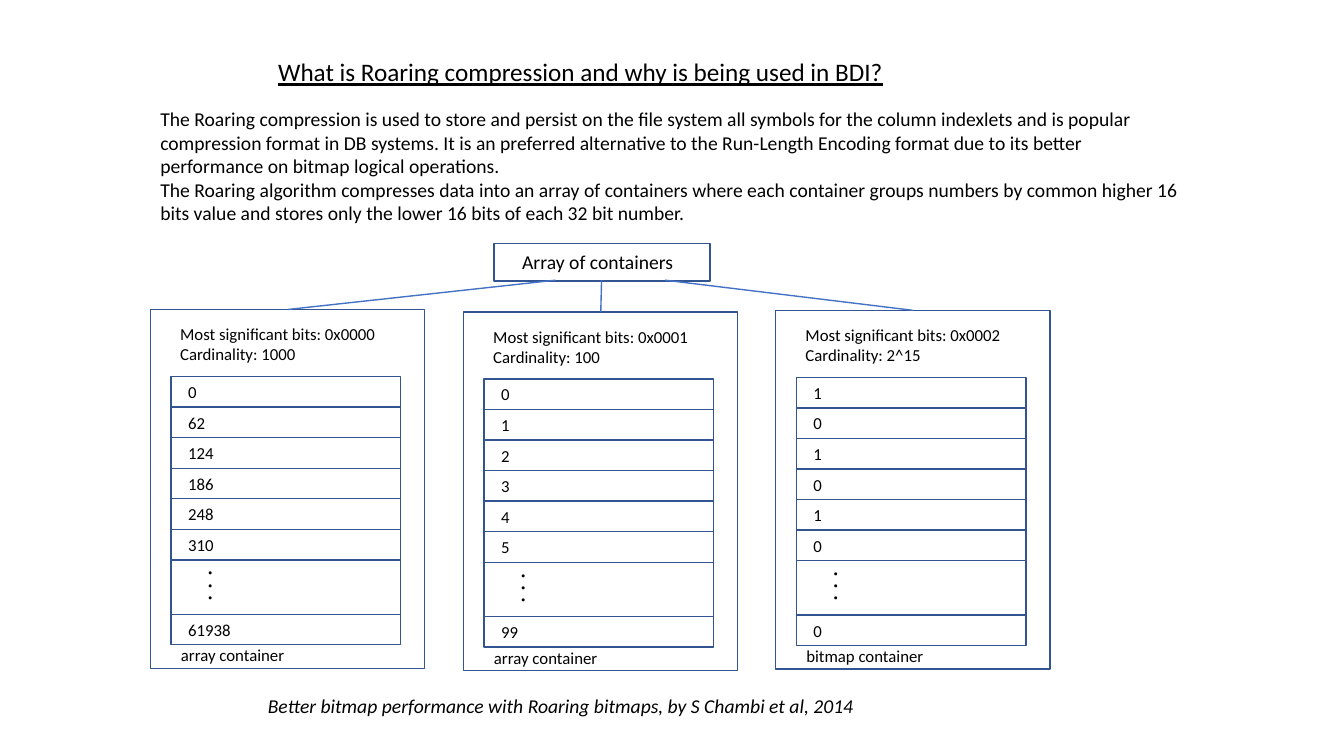
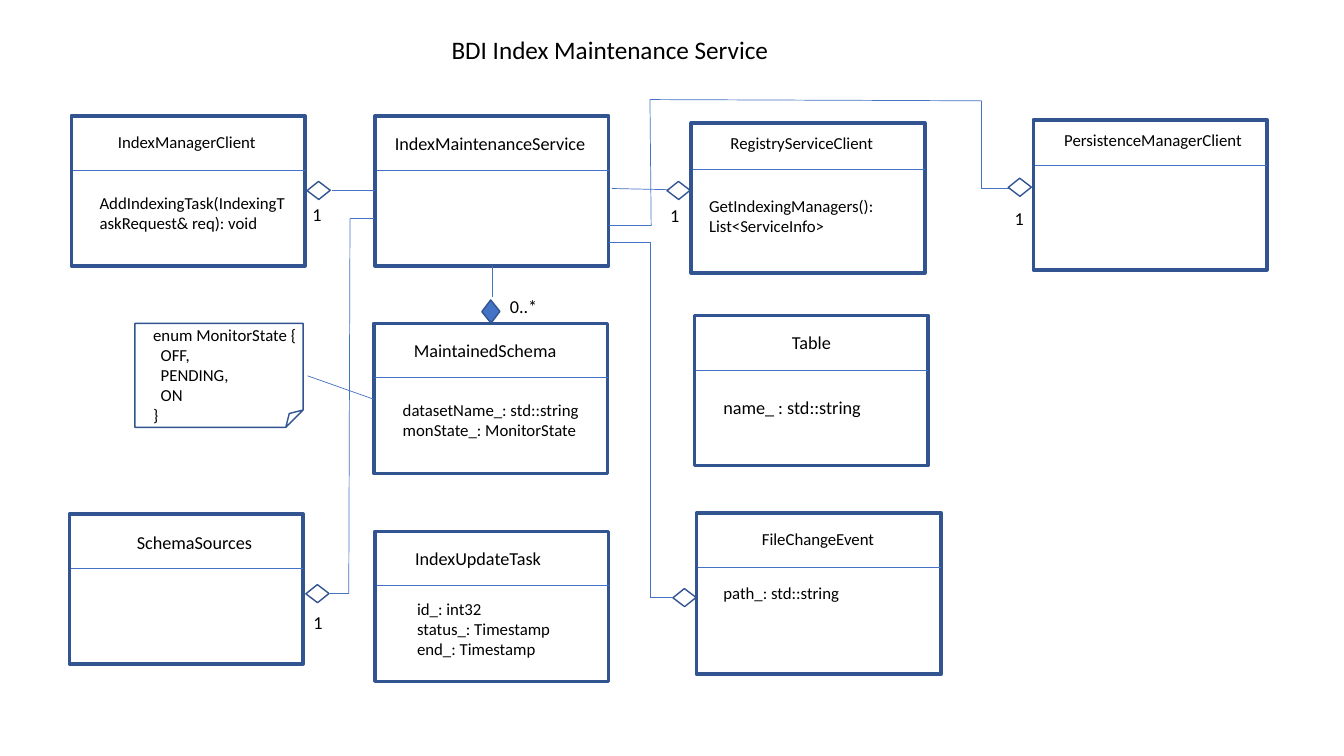
from dataclasses import dataclass
from itertools import pairwise

from lxml.etree import SubElement
from pptx import Presentation
from pptx.dml.color import RGBColor
from pptx.enum.shapes import MSO_CONNECTOR, MSO_SHAPE
from pptx.enum.text import MSO_ANCHOR, MSO_AUTO_SIZE, PP_ALIGN
from pptx.oxml.ns import qn
from pptx.util import Cm, Pt

COLORS = {"text": "000000", "outline": "325491", "link": "4472C4", "paper": "FFFFFF"}
FONT = "Calibri"
INSET = 0.25


@dataclass
class UmlClass:
    name: str
    left: float
    top: float
    name_dx: float
    name_width: float
    name_size: int = 13
    name_dy: float = 0.28
    rule_dy: float = 1.37
    members: tuple = ()
    members_dx: float = 0.48
    members_dy: float = 1.8
    members_size: int = 12
    width: float = 5.89
    height: float = 3.78
    fill: str | None = None


def color(key):
    return RGBColor.from_string(COLORS[key])


def write(frame, lines, size, underline=None, italic=None):
    frame.text = "\n".join(lines)
    for paragraph in frame.paragraphs:
        paragraph.alignment = PP_ALIGN.LEFT
        font = paragraph.font
        font.name, font.size = FONT, Pt(size)
        font.underline, font.italic = underline, italic
        font.color.rgb = color("text")


def add_text(slide, box, lines, size, wrap=True, **style):
    label = slide.shapes.add_textbox(*map(Cm, box))
    label.text_frame.word_wrap = wrap
    label.text_frame.auto_size = MSO_AUTO_SIZE.SHAPE_TO_FIT_TEXT
    write(label.text_frame, lines, size, **style)
    return label


def add_outline(slide, box, kind=MSO_SHAPE.RECTANGLE, weight=1, fill=None):
    outline = slide.shapes.add_shape(kind, *map(Cm, box))
    outline.shadow.inherit = False
    if fill:
        outline.fill.solid()
        outline.fill.fore_color.rgb = color(fill)
    else:
        outline.fill.background()
    outline.line.color.rgb = color("outline")
    outline.line.width = Pt(weight)
    return outline


def add_cell(slide, box, text, size, indent):
    frame = add_outline(slide, box).text_frame
    frame.margin_left = Cm(indent)
    frame.margin_top = frame.margin_bottom = 0
    frame.vertical_anchor = MSO_ANCHOR.MIDDLE
    write(frame, [text], size)


def add_route(slide, points, weight=0.5):
    for start, end in pairwise(points):
        link = slide.shapes.add_connector(MSO_CONNECTOR.STRAIGHT, *map(Cm, start + end))
        link.line.color.rgb = color("link")
        link.line.width = Pt(weight)
        SubElement(link._element.spPr, qn("a:effectLst"))


def add_title(slide, left, top, text, **style):
    add_text(slide, (left, top, 20, 1.02), [text], 18, **style)


def add_container(slide, left, top, bits, cardinality, values, last, kind):
    row, gap_row, width = 0.77, 1.37, 5.79
    cells_left, cells_top = left + 0.52, top + 1.69
    gap_top = cells_top + row * len(values)
    add_outline(slide, (left, top, 6.91, 9.04))
    add_text(slide, (left + 0.5, top + 0.24, width, 1.27),
             [f"Most significant bits: {bits}", f"Cardinality: {cardinality}"], 12)
    for index, value in enumerate(values):
        add_cell(slide, (cells_left, cells_top + row * index, width, row), value, 12, 0.43)
    add_outline(slide, (cells_left, gap_top, width, gap_row))
    dots = add_text(slide, (cells_left, gap_top, 1.55, 1.02), [". . ."], 18)
    dots.rotation = 270
    add_cell(slide, (cells_left, gap_top + gap_row, width, row), last, 12, 0.43)
    add_text(slide, (cells_left, top + 8.33, 5.64, 0.76), [kind], 12)


def add_class(slide, uml):
    left, top = uml.left, uml.top
    add_outline(slide, (left, top, uml.width, uml.height), weight=2.5, fill=uml.fill)
    rule_y = top + uml.rule_dy
    add_route(slide, [(left + 0.04, rule_y), (left + uml.width, rule_y)])
    add_text(slide, (left + uml.name_dx, top + uml.name_dy, uml.name_width, 0.8),
             [uml.name], uml.name_size, wrap=False)
    if uml.members:
        add_text(slide, (left + uml.members_dx, top + uml.members_dy, 5.18,
                         2 * INSET + 0.51 * len(uml.members)),
                 uml.members, uml.members_size)


def add_diamond(slide, center_x, center_y, rotation=37.2, fill=None):
    width, height = 0.46, 0.36
    box = (center_x - width / 2, center_y - height / 2, width, height)
    add_outline(slide, box, MSO_SHAPE.PARALLELOGRAM, fill=fill).rotation = rotation


def add_enum_note(slide, left, top):
    add_outline(slide, (left, top, 4.24, 2.62), MSO_SHAPE.FOLDED_CORNER)
    enum = add_text(slide, (left + 0.21, top - 0.1, 4.17, 2.82),
                    ["enum MonitorState {", "OFF,", "PENDING,", "ON", "}"], 12, wrap=False)
    for state in enum.text_frame.paragraphs[1:-1]:
        state._p.get_or_add_pPr().set("marL", str(Cm(0.19)))


def build_roaring(slide):
    add_text(slide, (3.79, 2.57, 26.29, 3.25), [
        "The Roaring compression is used to store and persist on the file system all symbols "
        "for the column indexlets and is popular compression format in DB systems. It is an "
        "preferred alternative to the Run-Length Encoding format due to its better performance "
        "on bitmap logical operations.",
        "The Roaring algorithm compresses data into an array of containers where each container "
        "groups numbers by common higher 16 bits value and stores only the lower 16 bits of each "
        "32 bit number."], 14)
    add_title(slide, 6.76, 1.3, "What is Roaring compression and why is being used in BDI?",
              underline=True)
    add_text(slide, (6.5, 17.37, 21.41, 1.45),
             ["Better bitmap performance with Roaring bitmaps, by S Chambi et al, 2014"],
             14, italic=True)
    add_cell(slide, (12.45, 6.13, 5.44, 0.95), "Array of containers", 14, 0.71)
    containers = [
        (3.79, 7.8, "0x0000", "1000", ["0", "62", "124", "186", "248", "310"],
         "61938", "array container"),
        (11.68, 7.86, "0x0001", "100", list("012345"), "99", "array container"),
        (19.55, 7.82, "0x0002", "2^15", list("101010"), "0", "bitmap container"),
    ]
    for container in containers:
        add_container(slide, *container)
    for branch in [((7.24, 7.8), (14, 7.06)), ((15.16, 7.06), (15.14, 7.86)),
                   ((16.76, 7.06), (23.01, 7.82))]:
        add_route(slide, branch, weight=1)


def build_service(slide):
    add_title(slide, 11.13, 0.74, "BDI Index Maintenance Service")
    classes = [
        UmlClass("IndexMaintenanceService", 9.45, 2.92, 0.25, 5.38),
        UmlClass("MaintainedSchema", 9.42, 8.15, 0.76, 4.17, fill="paper",
                 members=("datasetName_: std::string", "monState_: MonitorState")),
        UmlClass("IndexUpdateTask", 9.45, 13.39, 0.76, 3.73, members_dx=0.81, members_dy=1.57,
                 members=("id_: int32", "status_: Timestamp", "end_: Timestamp")),
        UmlClass("Table", 17.5, 7.95, 2.21, 1.5, members_dy=1.9, members_size=13,
                 members=("name_ : std::string",)),
        UmlClass("FileChangeEvent", 17.55, 12.93, 1.4, 3.38, 12, width=6.17, height=4.06,
                 members=("path_: std::string",), members_dx=0.43, members_dy=1.63),
        UmlClass("RegistryServiceClient", 17.42, 3.1, 0.74, 4.14, 12, 0.13, 1.17,
                 members=("GetIndexingManagers(): List<ServiceInfo>",),
                 members_dx=0.2, members_dy=1.7),
        UmlClass("IndexManagerClient", 1.8, 2.92, 0.92, 4.01, 12,
                 members=("AddIndexingTask(IndexingTaskRequest& req): void",),
                 members_dx=0.46),
        UmlClass("PersistenceManagerClient", 26.04, 3.02, 0.53, 5.03, 12, 0.13, 1.15),
        UmlClass("SchemaSources", 1.75, 12.95, 1.45, 3.45, name_dy=0.31),
    ]
    for uml in classes:
        add_class(slide, uml)
    add_enum_note(slide, 3.4, 8.15)
    routes = [
        [(7.75, 9.47), (9.42, 10.06)],
        [(8.36, 4.8), (9.45, 4.8)],
        [(15.42, 4.75), (16.87, 4.78)],
        [(25.43, 4.75), (24.74, 4.75), (24.74, 2.54), (16.38, 2.51), (16.41, 5.69),
         (15.34, 5.69)],
        [(12.4, 7.49), (12.4, 6.71)],
        [(15.34, 6.1), (16.38, 6.1), (16.38, 15.06), (16.94, 15.06)],
        [(8.31, 14.96), (8.79, 14.96), (8.82, 5.51), (9.42, 5.51)],
    ]
    for route in routes:
        add_route(slide, route)
    for center in [(17.1, 4.8), (8.03, 4.8), (25.7, 4.72), (17.25, 15.06), (8, 14.96)]:
        add_diamond(slide, *center)
    add_diamond(slide, 12.37, 7.85, 127.2, "link")
    for left, top in [(16.64, 5.03), (25.32, 5.11), (7.62, 5), (7.65, 15.27)]:
        add_text(slide, (left, top, 0.74, 0.81), ["1"], 13, wrap=False)
    add_text(slide, (12.6, 7.32, 1.75, 0.81), ["0..*"], 13)


deck = Presentation()
deck.slide_width, deck.slide_height = Cm(33.87), Cm(19.05)
for build in (build_roaring, build_service):
    build(deck.slides.add_slide(deck.slide_layouts[6]))
deck.save("out.pptx")
